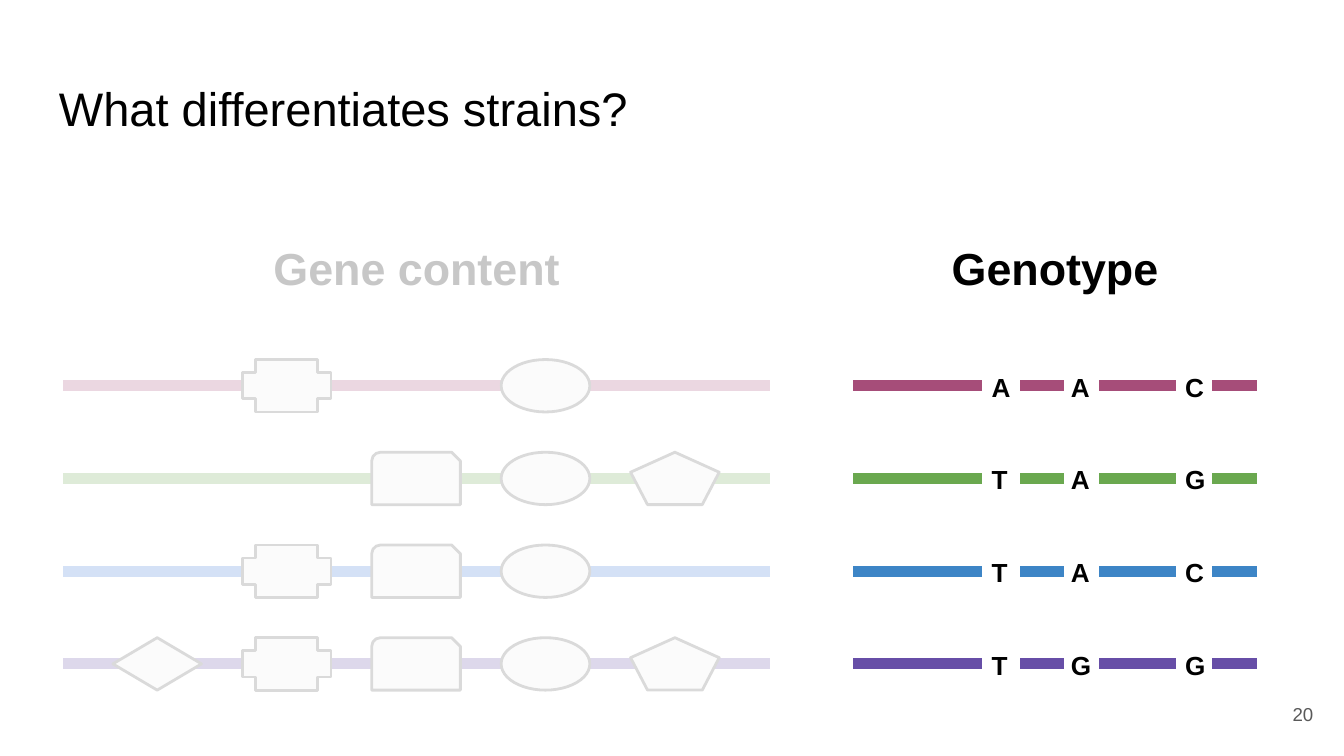
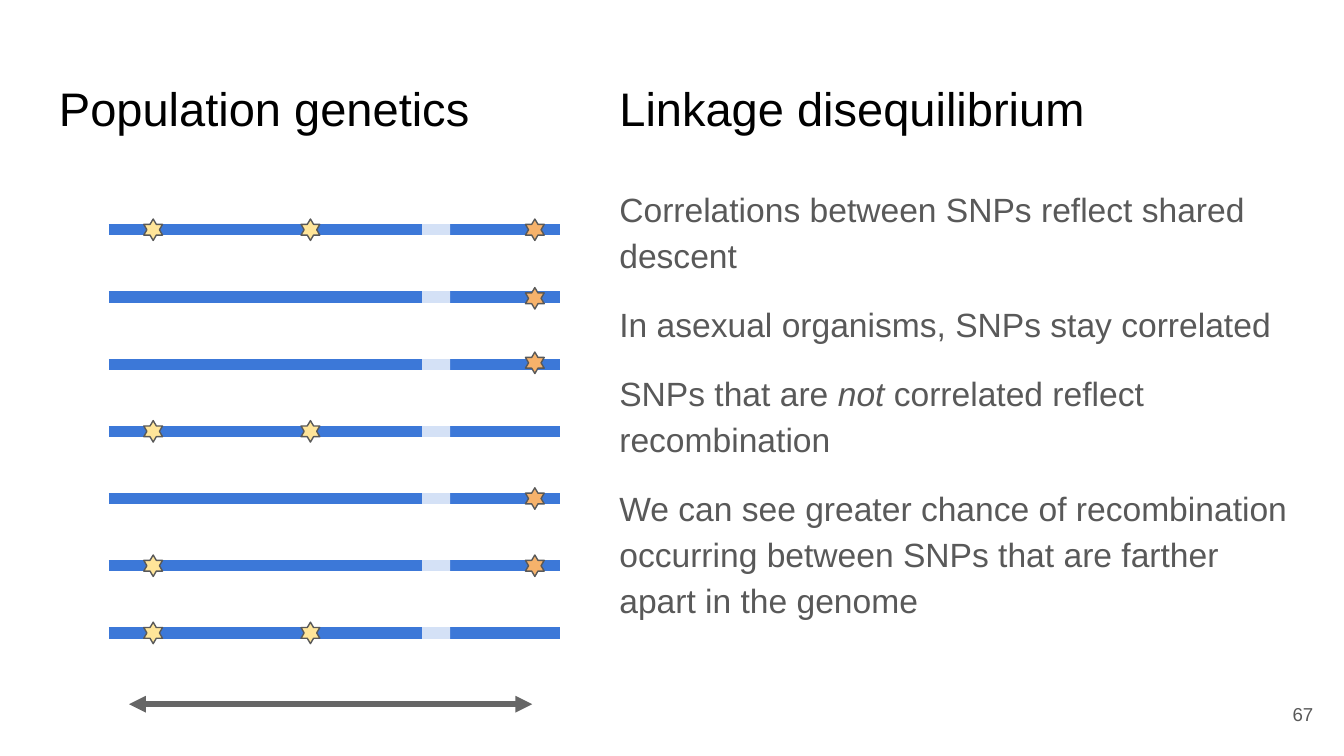
"""Build two slides on strain differences and linkage disequilibrium."""
from dataclasses import dataclass

from lxml import etree
from pptx import Presentation
from pptx.dml.color import RGBColor
from pptx.enum.shapes import MSO_CONNECTOR, MSO_SHAPE
from pptx.enum.text import MSO_ANCHOR, PP_ALIGN
from pptx.oxml.ns import qn
from pptx.util import Inches, Pt

STRAIGHT = MSO_CONNECTOR.STRAIGHT
DIAMOND = MSO_SHAPE.FLOWCHART_DECISION
PLUS = MSO_SHAPE.CROSS
SNIPPED = MSO_SHAPE.SNIP_ROUND_RECTANGLE
OVAL = MSO_SHAPE.OVAL
PENTAGON = MSO_SHAPE.REGULAR_PENTAGON
STAR = MSO_SHAPE.STAR_6_POINT
RECTANGLE = MSO_SHAPE.RECTANGLE
TOP, MIDDLE = MSO_ANCHOR.TOP, MSO_ANCHOR.MIDDLE
LEFT, CENTER, RIGHT = PP_ALIGN.LEFT, PP_ALIGN.CENTER, PP_ALIGN.RIGHT


@dataclass(frozen=True)
class Theme:
    font: str = "Arial"
    title_size: float = 25.2
    heading_size: float = 24
    body_size: float = 18
    base_size: float = 14
    number_size: float = 10
    strand_width: float = 6
    arrow_width: float = 3
    gene_outline: float = 1.5
    snp_outline: float = 0.75
    black: str = "000000"
    gray: str = "595959"
    arrow: str = "666666"
    gene: str = "EEEEEE"
    veil: str = "FFFFFF"
    veil_opacity: int = 78
    plum: str = "A64D79"
    green: str = "6AA84F"
    sky: str = "3D85C6"
    blue: str = "3C78D8"
    violet: str = "674EA7"
    yellow: str = "FFE599"
    orange: str = "F6B26B"


THEME = Theme()


def add_text(slide, box, paragraphs, size, color=THEME.black, bold=False,
             align=LEFT, anchor=TOP, spacing=1.0, gap=0):
    frame = slide.shapes.add_textbox(*map(Inches, box)).text_frame
    frame.word_wrap = True
    frame.vertical_anchor = anchor
    frame.margin_left = frame.margin_right = Inches(0.1)
    frame.margin_top = frame.margin_bottom = Inches(0.1)
    for index, text in enumerate(paragraphs):
        paragraph = frame.add_paragraph() if index else frame.paragraphs[0]
        paragraph.alignment = align
        paragraph.line_spacing = spacing
        if index:
            paragraph.space_before = Pt(gap)
        for part, words in enumerate(text.split("*")):
            run = paragraph.add_run()
            run.text = words
            run.font.name = THEME.font
            run.font.size = Pt(size)
            run.font.bold = bold
            run.font.italic = part % 2 == 1
            run.font.color.rgb = RGBColor.from_string(color)
    if gap:
        paragraph.space_after = Pt(gap)


def add_figure(slide, preset, box, fill, outline=0, opacity=100):
    figure = slide.shapes.add_shape(preset, *map(Inches, box))
    figure.shadow.inherit = False
    figure.fill.solid()
    figure.fill.fore_color.rgb = RGBColor.from_string(fill)
    if outline:
        figure.line.color.rgb = RGBColor.from_string(THEME.gray)
        figure.line.width = Pt(outline)
    else:
        figure.line.fill.background()
    if opacity < 100:
        color = figure._element.spPr.find(qn("a:solidFill")).find(qn("a:srgbClr"))
        etree.SubElement(color, qn("a:alpha"), val=str(opacity * 1000))


deck = Presentation()
deck.slide_width = Inches(10)
deck.slide_height = deck.slide_width * 9 // 16
blank = deck.slide_layouts[6]
strains = deck.slides.add_slide(blank)
linkage = deck.slides.add_slide(blank)

for slide, left, width, title in (
    (strains, 0.34, 9.32, "What differentiates strains?"),
    (linkage, 0.34, 3.88, "Population genetics"),
    (linkage, 4.51, 3.88, "Linkage disequilibrium"),
):
    add_text(slide, (left, 0.49, width, 0.63), [title], THEME.title_size)

for slide, number in ((strains, "20"), (linkage, "67")):
    add_text(slide, (9.27, 5.1, 0.6, 0.43), [number], THEME.number_size,
             THEME.gray, align=RIGHT, anchor=MIDDLE)

gene_slots = (DIAMOND, PLUS, SNIPPED, OVAL, PENTAGON)
strain_rows = (
    (THEME.plum, THEME.plum, (PLUS, OVAL), "AAC"),
    (THEME.green, THEME.green, (SNIPPED, OVAL, PENTAGON), "TAG"),
    (THEME.blue, THEME.sky, (PLUS, SNIPPED, OVAL), "TAC"),
    (THEME.violet, THEME.violet, gene_slots, "TGG"),
)
genotype_segments = ((6.35, 7.31), (7.59, 7.92), (8.18, 8.75), (9.02, 9.35))
base_lefts = (7.28, 7.87, 8.72)
strain_top, strain_pitch = 2.87, 0.69

genome_rows = (
    (True, True, True, 0),
    (False, False, True, 0.01),
    (False, False, True, -0.01),
    (True, True, False, 0),
    (False, False, True, 0),
    (True, False, True, 0),
    (True, True, False, 0),
)
snp_columns = ((1.07, THEME.yellow), (2.24, THEME.yellow), (3.91, THEME.orange))
genome_top, genome_pitch = 1.71, 0.5

lines = [(linkage, 0.96, 3.96, 5.24, THEME.arrow, THEME.arrow_width, True)]
for row, (content_color, genotype_color, _, _) in enumerate(strain_rows):
    y = strain_top + row * strain_pitch
    lines.append((strains, 0.47, 5.73, y, content_color, THEME.strand_width, False))
    for start, end in genotype_segments:
        lines.append((strains, start, end, y, genotype_color, THEME.strand_width, False))
for row in range(len(genome_rows)):
    y = genome_top + row * genome_pitch
    lines.append((linkage, 0.81, 4.17, y, THEME.blue, THEME.strand_width, False))

for slide, start, end, y, color, width, arrow in lines:
    strand = slide.shapes.add_connector(
        STRAIGHT, Inches(start), Inches(y), Inches(end), Inches(y))
    strand.line.color.rgb = RGBColor.from_string(color)
    strand.line.width = Pt(width)
    properties = strand._element.spPr
    if arrow:
        for tip in ("a:headEnd", "a:tailEnd"):
            etree.SubElement(properties.find(qn("a:ln")), qn(tip), type="triangle")
    etree.SubElement(properties, qn("a:effectLst"))

for left, width, heading in ((0.47, 5.26, "Gene content"), (6.35, 3, "Genotype")):
    add_text(strains, (left, 1.69, width, 0.75), [heading], THEME.heading_size,
             bold=True, align=CENTER)

for row, (_, _, genes, bases) in enumerate(strain_rows):
    y = strain_top + row * strain_pitch
    for slot, gene in enumerate(gene_slots):
        if gene in genes:
            add_figure(strains, gene, (0.84 + slot * 0.963, y - 0.195, 0.66, 0.39),
                       THEME.gene, THEME.gene_outline)
    for left, base in zip(base_lefts, bases):
        add_text(strains, (left, y - 0.21, 0.39, 0.42), [base], THEME.base_size,
                 bold=True)

for row, (*present, nudge) in enumerate(genome_rows):
    y = genome_top + row * genome_pitch - 0.08 + nudge
    for (left, color), shown in zip(snp_columns, present):
        if shown:
            add_figure(linkage, STAR, (left, y, 0.14, 0.16), color, THEME.snp_outline)

for slide, box in ((strains, (0.32, 1.6, 5.64, 3.65)),
                   (linkage, (3.14, 1.44, 0.21, 3.5))):
    add_figure(slide, RECTANGLE, box, THEME.veil, opacity=THEME.veil_opacity)

add_text(linkage, (4.51, 1.26, 5.19, 3.74), [
    "Correlations between SNPs reflect shared descent",
    "In asexual organisms, SNPs stay correlated",
    "SNPs that are *not* correlated reflect recombination",
    "We can see greater chance of recombination occurring between SNPs "
    "that are farther apart in the genome",
], THEME.body_size, THEME.gray, spacing=1.15, gap=12)

deck.save("out.pptx")
